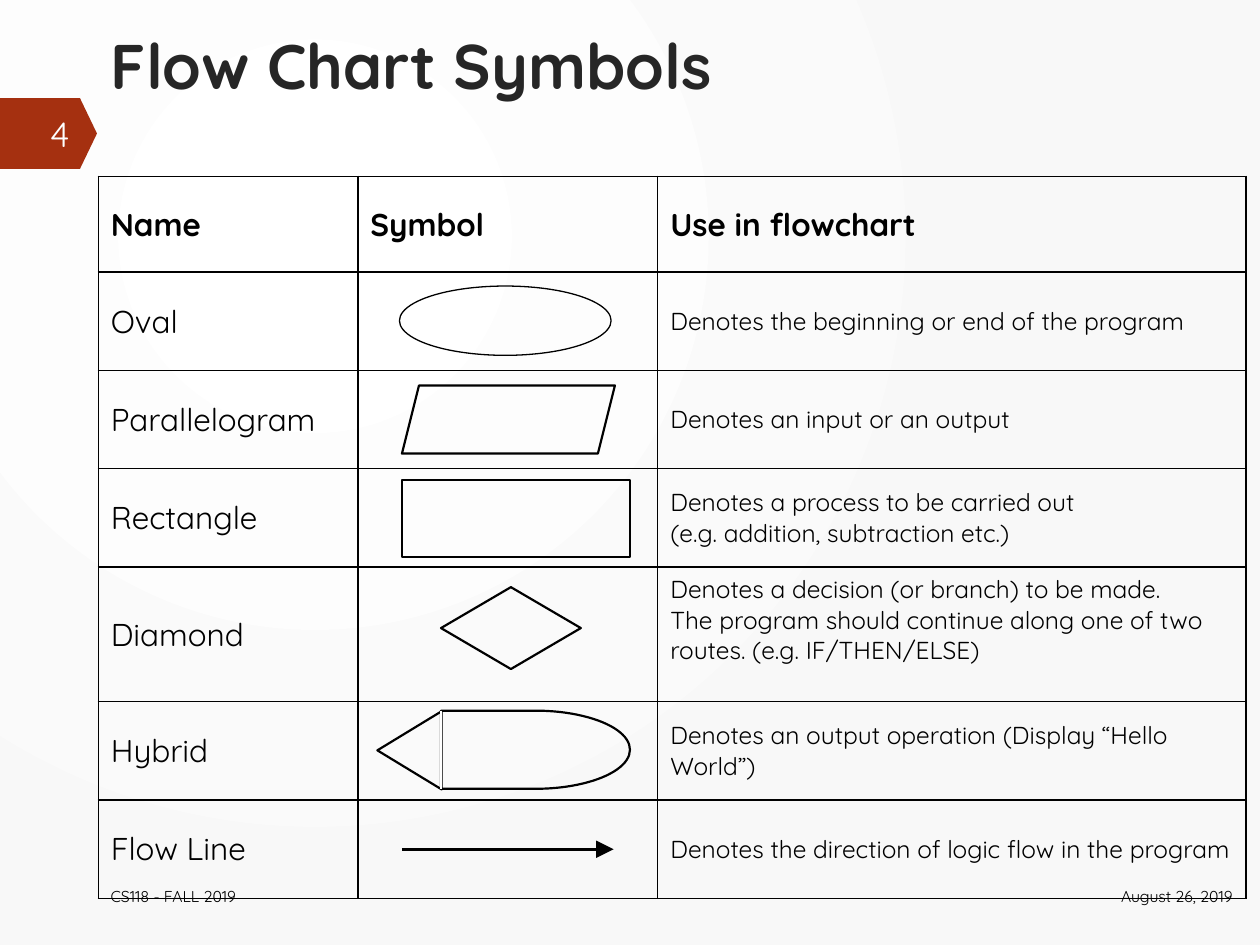
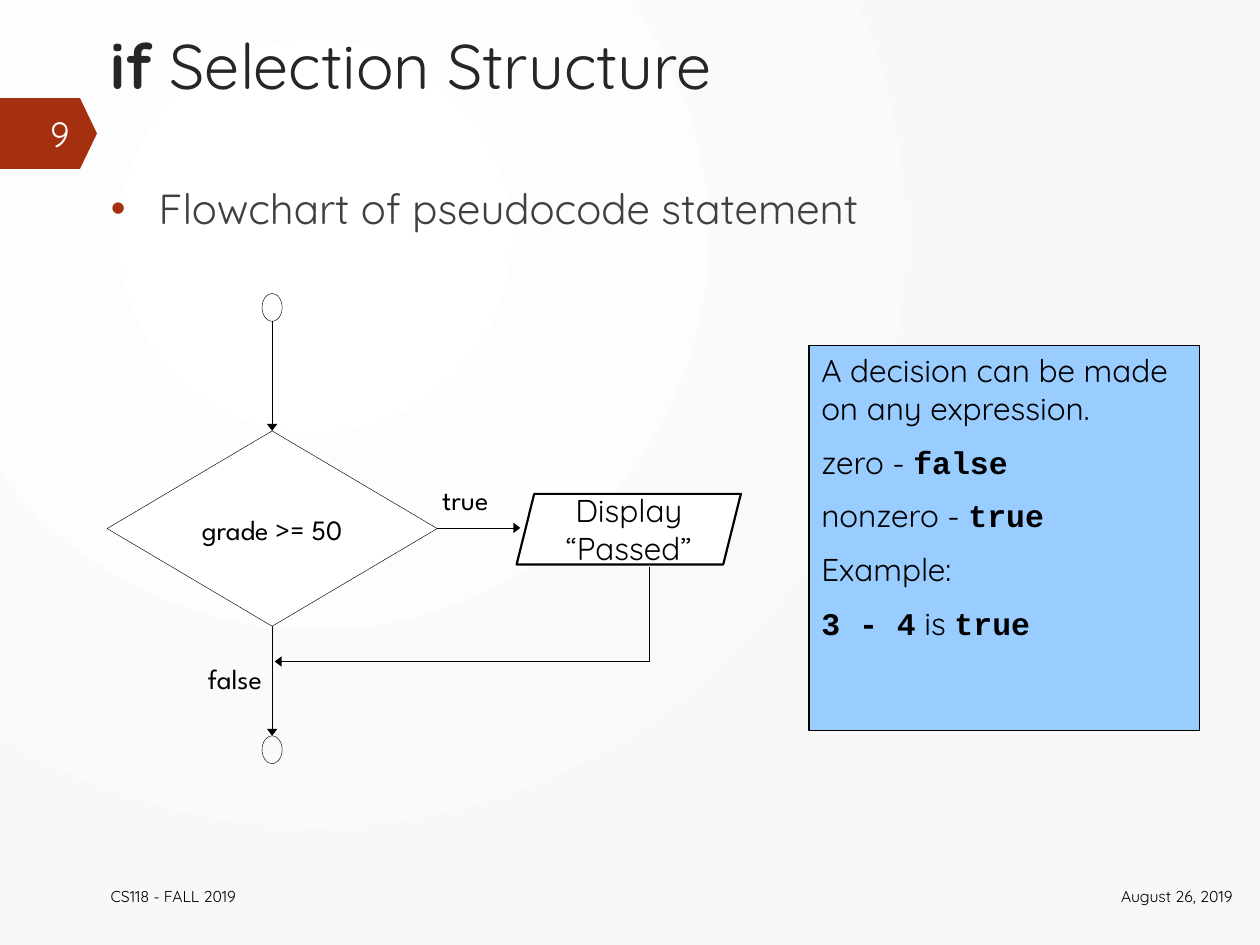
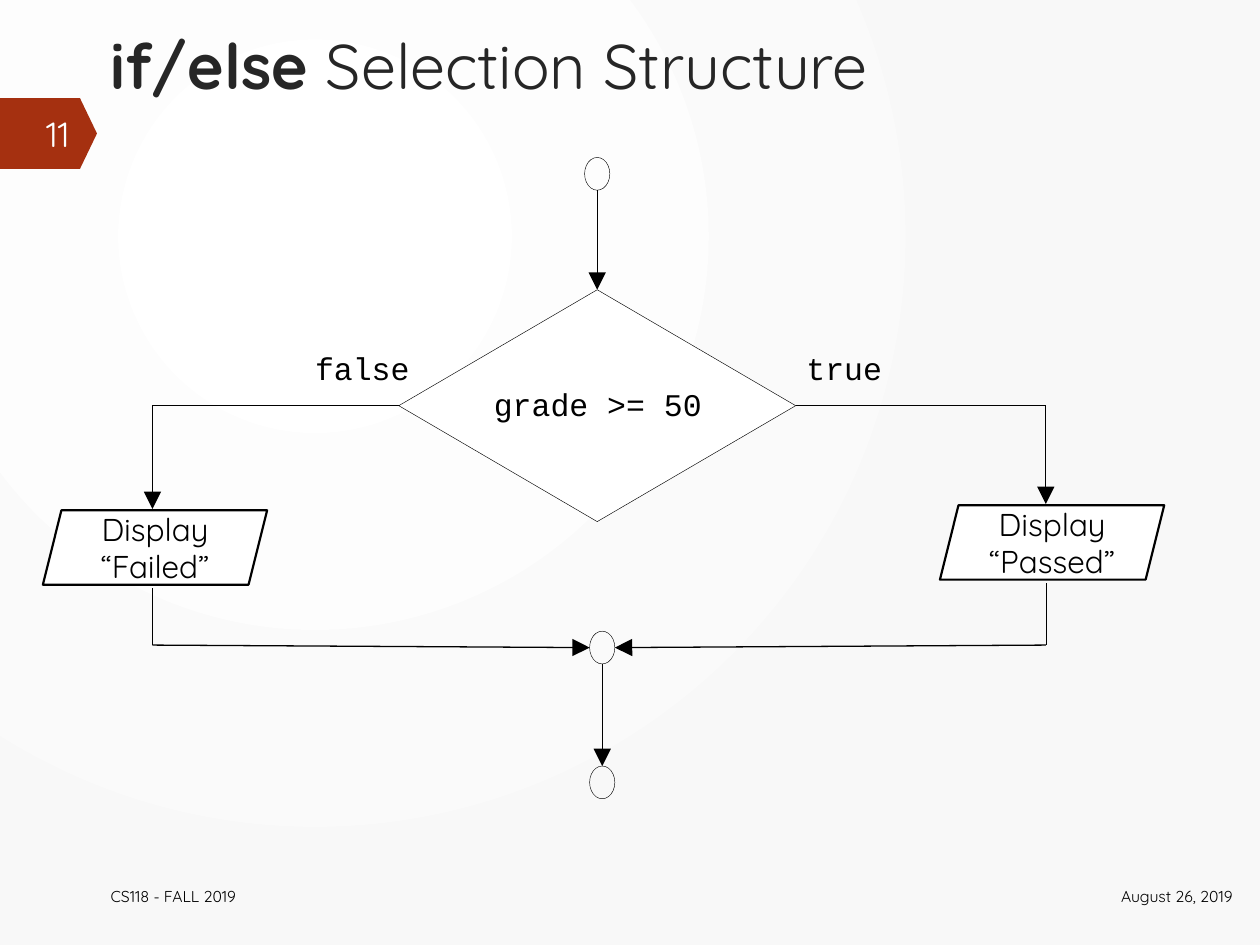
from dataclasses import dataclass
from typing import NamedTuple, Optional

from lxml import etree
from pptx import Presentation
from pptx.dml.color import RGBColor
from pptx.enum.shapes import MSO_CONNECTOR, MSO_SHAPE
from pptx.enum.text import MSO_ANCHOR, MSO_AUTO_SIZE, PP_ALIGN
from pptx.oxml.ns import qn
from pptx.util import Emu, Inches, Pt

LEFT, CENTER, RIGHT = PP_ALIGN.LEFT, PP_ALIGN.CENTER, PP_ALIGN.RIGHT
TOP, MIDDLE = MSO_ANCHOR.TOP, MSO_ANCHOR.MIDDLE
STRAIGHT = MSO_CONNECTOR.STRAIGHT
NO_AUTOFIT = MSO_AUTO_SIZE.NONE
OVAL, RECTANGLE, DIAMOND = MSO_SHAPE.OVAL, MSO_SHAPE.RECTANGLE, MSO_SHAPE.DIAMOND
PARALLELOGRAM = MSO_SHAPE.PARALLELOGRAM
DELAY, TRIANGLE = MSO_SHAPE.FLOWCHART_DELAY, MSO_SHAPE.ISOSCELES_TRIANGLE
PENTAGON = MSO_SHAPE.PENTAGON

# The slide is a grid of 100 columns by 75 rows; all lengths below are in cells.
SLIDE_WIDTH, SLIDE_HEIGHT = Inches(10), Inches(7.5)
COLUMNS, ROWS = 100, 75


@dataclass(frozen=True)
class Theme:
    ink: str = "000000"
    paper: str = "FFFFFF"
    paper_edge: str = "F8F8F8"
    title: str = "262626"
    body: str = "404040"
    accent: str = "A53010"
    number: str = "FEFFFF"
    callout: str = "99CCFF"
    font: str = "Quicksand"
    label_font: str = "League Spartan"
    code_font: str = "Courier New"
    title_size: float = 36
    body_size: float = 24
    number_size: float = 20
    text_size: float = 18
    label_size: float = 16
    detail_size: float = 14
    footer_size: float = 9
    hairline: float = 0.25
    thin: float = 0.75
    border: float = 1
    outline: float = 1.25
    thick: float = 1.5


THEME = Theme()


class Box(NamedTuple):
    left: float
    top: float
    width: float
    height: float


class Point(NamedTuple):
    x: float
    y: float


class Arrow(NamedTuple):
    width: str
    length: str


class Span(NamedTuple):
    text: str
    bold: bool = False
    font: str = THEME.font


class Symbol(NamedTuple):
    kind: int
    box: Box
    line_width: float = THEME.outline
    rotation: float = 0


class SymbolRow(NamedTuple):
    height: float
    name: str
    use: str
    bottom_margin: float = 0.5


class Line(NamedTuple):
    start: Point
    end: Point
    width: float = THEME.hairline
    arrow: Optional[Arrow] = None


LARGE_ARROW, SHORT_ARROW = Arrow("lg", "lg"), Arrow("med", "sm")

TITLE_BOX = Box(7.8, 1.6, 91, 8.9)
BODY_BOX = Box(7.8, 14, 91, 54.5)
BAND_BOX = Box(0, 7.8, 7.7, 5.6)
NUMBER_BOX = Box(0.1, 8.6, 6.4, 4)
FOOTER_BOX = Box(7.8, 69.1, 68.1, 4)
DATE_BOX = Box(84.1, 69.1, 14.7, 4)


# ---- Lengths, text and lines ----
def column(count: float) -> Emu:
    return Emu(round(SLIDE_WIDTH * count / COLUMNS))


def row(count: float) -> Emu:
    return Emu(round(SLIDE_HEIGHT * count / ROWS))


def place(box: Box) -> tuple:
    return column(box.left), row(box.top), column(box.width), row(box.height)


def rgb(color: str) -> RGBColor:
    return RGBColor.from_string(color)


def format_run(run, size: float, color: str, font: str, bold: bool = False) -> None:
    run.font.size, run.font.name, run.font.bold = Pt(size), font, bold
    run.font.color.rgb = rgb(color)


def write_spans(paragraph, spans: list, size: float, color: str = THEME.ink,
                align=LEFT) -> None:
    paragraph.alignment = align
    for span in spans:
        run = paragraph.add_run()
        run.text = span.text
        format_run(run, size, color, span.font, span.bold)


def write_text(text_frame, text: str, size: float, color: str = THEME.ink,
               font: str = THEME.font, bold: bool = False, align=LEFT) -> None:
    text_frame.text = text
    for paragraph in text_frame.paragraphs:
        paragraph.alignment = align
        for run in paragraph.runs:
            format_run(run, size, color, font, bold)


def add_text(slide, box: Box, text: str, size: float, color: str = THEME.ink,
             font: str = THEME.font, align=LEFT, anchor=MIDDLE):
    text_frame = slide.shapes.add_textbox(*place(box)).text_frame
    text_frame.word_wrap, text_frame.vertical_anchor = True, anchor
    write_text(text_frame, text, size, color, font, align=align)
    return text_frame


def add_label(slide, box: Box, text: str, size: float, font: str, align=LEFT) -> None:
    text_frame = add_text(slide, box, text, size, font=font, align=align, anchor=TOP)
    text_frame.margin_left = text_frame.margin_right = 0
    text_frame.margin_top = text_frame.margin_bottom = 0


def add_shape(slide, kind: int, box: Box, line_width: float = 0,
              fill: Optional[str] = None, rotation: float = 0):
    shape = slide.shapes.add_shape(kind, *place(box))
    shape.shadow.inherit = False
    shape.rotation = rotation
    if fill:
        shape.fill.solid()
        shape.fill.fore_color.rgb = rgb(fill)
    else:
        shape.fill.background()
    if line_width:
        shape.line.color.rgb = rgb(THEME.ink)
        shape.line.width = Pt(line_width)
    else:
        shape.line.fill.background()
    return shape


def add_line(slide, line: Line, color: str = THEME.ink) -> None:
    connector = slide.shapes.add_connector(
        STRAIGHT, column(line.start.x), row(line.start.y),
        column(line.end.x), row(line.end.y))
    connector.line.color.rgb = rgb(color)
    connector.line.width = Pt(line.width)
    properties = connector.element.spPr
    if line.arrow:
        etree.SubElement(properties.find(qn("a:ln")), qn("a:tailEnd"), type="triangle",
                         w=line.arrow.width, len=line.arrow.length)
    etree.SubElement(properties, qn("a:effectLst"))


# ---- What every slide shares ----
def set_background(master) -> None:
    fill = master.background.fill
    fill.gradient()
    for stop, color in zip(fill.gradient_stops, (THEME.paper, THEME.paper_edge)):
        stop.color.rgb = rgb(color)
    gradient = master.element.find(".//" + qn("a:gradFill"))
    gradient.remove(gradient.find(qn("a:lin")))
    circle = etree.SubElement(gradient, qn("a:path"), path="circle")
    etree.SubElement(circle, qn("a:fillToRect"), l="50000", t="50000",
                     r="100000", b="100000")


def fit_placeholder(placeholder, box: Box):
    placeholder.left, placeholder.top, placeholder.width, placeholder.height = place(box)
    text_frame = placeholder.text_frame
    text_frame.auto_size, text_frame.vertical_anchor = NO_AUTOFIT, TOP
    return text_frame


def start_slide(presentation, layout_name: str, number: int, title: list):
    layout = presentation.slide_layouts.get_by_name(layout_name)
    slide = presentation.slides.add_slide(layout)
    title_frame = fit_placeholder(slide.shapes.title, TITLE_BOX)
    write_spans(title_frame.paragraphs[0], title, THEME.title_size, THEME.title)
    band = add_shape(slide, PENTAGON, BAND_BOX, fill=THEME.accent)
    band.adjustments[0] = 0.24
    add_text(slide, NUMBER_BOX, str(number), THEME.number_size, THEME.number, align=RIGHT)
    return slide


def add_footer(slide) -> None:
    add_text(slide, DATE_BOX, "August 26, 2019", THEME.footer_size, align=RIGHT)
    add_text(slide, FOOTER_BOX, "CS118 - FALL 2019", THEME.footer_size)


# ---- Flow chart parts ----
def add_terminal(slide, center: Point, width: float, height: float) -> None:
    box = Box(center.x - width / 2, center.y - height / 2, width, height)
    add_shape(slide, OVAL, box, THEME.hairline)


def add_output(slide, box: Box, text: str) -> None:
    shape = add_shape(slide, PARALLELOGRAM, box, THEME.outline, THEME.paper)
    shape.text_frame.vertical_anchor = MIDDLE
    write_text(shape.text_frame, text, THEME.text_size, align=CENTER)


def add_decision(slide, box: Box, label_box: Box, size: float, font: str) -> None:
    add_shape(slide, DIAMOND, box, THEME.hairline, THEME.paper)
    add_label(slide, label_box, "grade >= 50", size, font, CENTER)


# ---- Symbol table ----
def format_cell(cell, text: str, size: float, bold: bool) -> None:
    cell.vertical_anchor = MIDDLE
    if text:
        write_text(cell.text_frame, text, size, bold=bold)
    properties = cell._tc.get_or_add_tcPr()
    for side in ("lnL", "lnR", "lnT", "lnB"):
        border = etree.SubElement(properties, qn("a:" + side), w=str(Pt(THEME.border)))
        paint = etree.SubElement(border, qn("a:solidFill"))
        etree.SubElement(paint, qn("a:srgbClr"), val=THEME.ink)
    cell.fill.background()


def add_symbol_table(slide, left: float, top: float, widths: tuple, rows: list) -> None:
    box = Box(left, top, sum(widths), sum(item.height for item in rows))
    table = slide.shapes.add_table(len(rows), len(widths), *place(box)).table
    table.first_row = table.horz_banding = False
    for table_column, width in zip(table.columns, widths):
        table_column.width = column(width)
    for index, item in enumerate(rows):
        header = index == 0
        table.rows[index].height = row(item.height)
        use_size = THEME.text_size if header else THEME.detail_size
        name, symbol, use = table.rows[index].cells
        format_cell(name, item.name, THEME.text_size, header)
        format_cell(symbol, "Symbol" if header else "", THEME.text_size, header)
        format_cell(use, item.use, use_size, header)
        use.margin_bottom = row(item.bottom_margin)


def build_symbols_slide(presentation) -> None:
    slide = start_slide(presentation, "Title Only", 4, [Span("Flow Chart Symbols", True)])
    add_symbol_table(slide, 7.8, 14, (20.6, 23.8, 46.7), [
        SymbolRow(7.6, "Name", "Use in flowchart"),
        SymbolRow(7.8, "Oval", "Denotes the beginning or end of the program"),
        SymbolRow(7.8, "Parallelogram", "Denotes an input or an output"),
        SymbolRow(7.8, "Rectangle", "Denotes a process to be carried out\n"
                  "(e.g. addition, subtraction etc.)"),
        # The deeper bottom margin lifts the text of this row.
        SymbolRow(10.7, "Diamond", "Denotes a decision (or branch) to be made.\n"
                  "The program should continue along one of two routes. "
                  "(e.g. IF/THEN/ELSE)", 2.8),
        SymbolRow(7.8, "Hybrid", "Denotes an output operation "
                  "(Display “Hello World”)"),
        SymbolRow(7.8, "Flow Line", "Denotes the direction of logic flow in the program"),
    ])
    add_footer(slide)
    for symbol in (
        Symbol(OVAL, Box(31.7, 22.7, 16.8, 5.5), THEME.thin),
        Symbol(PARALLELOGRAM, Box(31.9, 30.6, 16.9, 5.4)),
        Symbol(RECTANGLE, Box(31.9, 38.1, 18.1, 6.1)),
        Symbol(DIAMOND, Box(35, 46.6, 11.1, 6.5)),
        Symbol(DELAY, Box(35, 56.4, 15, 6.2)),
        Symbol(TRIANGLE, Box(29.4, 57, 6.2, 5.1), rotation=270),
    ):
        add_shape(slide, symbol.kind, symbol.box, symbol.line_width,
                  rotation=symbol.rotation)
    # A white line hides the seam of the hybrid symbol.
    add_line(slide, Line(Point(35, 56.4), Point(35, 62.6), THEME.thick), THEME.paper)
    add_line(slide, Line(Point(31.9, 67.4), Point(48.7, 67.4), THEME.thick, LARGE_ARROW))


# ---- if ----
def add_bullet(slide, text: str) -> None:
    text_frame = fit_placeholder(slide.placeholders[1], BODY_BOX)
    write_text(text_frame, text, THEME.body_size, THEME.body)
    paragraph = text_frame.paragraphs[0]
    paragraph.space_before = Pt(6)
    properties = paragraph._p.get_or_add_pPr()
    properties.set("marL", str(column(3.8)))
    properties.set("indent", str(-column(3.8)))
    bullet_color = etree.SubElement(properties, qn("a:buClr"))
    etree.SubElement(bullet_color, qn("a:srgbClr"), val=THEME.accent)
    etree.SubElement(properties, qn("a:buChar"), char="•")


def add_callout(slide, box: Box, lines: list) -> None:
    shape = add_shape(slide, RECTANGLE, box, THEME.thin, THEME.callout)
    text_frame = shape.text_frame
    text_frame.word_wrap, text_frame.vertical_anchor = True, TOP
    for index, spans in enumerate(lines):
        paragraph = text_frame.add_paragraph() if index else text_frame.paragraphs[0]
        paragraph.space_before = Pt(THEME.text_size / 2 if index else 0)
        write_spans(paragraph, spans, THEME.text_size)


def build_if_slide(presentation) -> None:
    slide = start_slide(presentation, "Title and Content", 9,
                        [Span("if ", True), Span("Selection Structure")])
    add_bullet(slide, "Flowchart of pseudocode statement")
    add_footer(slide)

    axis, middle, join = 21.6, 41.9, 52.5
    decision = Box(axis - 13.1, 34.2, 26.2, 15.5)
    output = Box(41, 39.2, 17.8, 5.6)
    start, end = Point(axis, 24.4), Point(axis, 59.5)
    decision_bottom = decision.top + decision.height
    decision_right = decision.left + decision.width
    return_x = 51.5
    for line in (
        Line(Point(axis, start.y + 1.1), Point(axis, decision.top), arrow=SHORT_ARROW),
        Line(Point(axis, decision_bottom), Point(axis, end.y - 1.1), arrow=SHORT_ARROW),
        Line(Point(decision_right, middle), Point(41.3, middle), arrow=SHORT_ARROW),
        Line(Point(return_x, 45), Point(return_x, join)),
        Line(Point(return_x, join), Point(axis + 0.2, join), arrow=SHORT_ARROW),
    ):
        add_line(slide, line)
    for center in (start, end):
        add_terminal(slide, center, 1.6, 2.2)
    add_label(slide, Box(35.1, 38.3, 5.8, 4.3), "true", THEME.label_size, THEME.label_font)
    add_label(slide, Box(16.5, 52.5, 7.1, 4.3), "false", THEME.label_size,
              THEME.label_font)
    add_decision(slide, decision, Box(14.2, 40.7, 14.8, 3.3), THEME.label_size,
                 THEME.label_font)
    add_output(slide, output, "Display “Passed”")

    code = THEME.code_font
    add_callout(slide, Box(64.2, 27.4, 31, 30.6), [
        [Span("A decision can be made on any expression.")],
        [Span("zero - "), Span("false", True, code)],
        [Span("nonzero - "), Span("true", True, code)],
        [Span("Example:")],
        [Span("3 - 4", True, code), Span(" is "), Span("true", True, code)],
    ])


# ---- if/else ----
def build_if_else_slide(presentation) -> None:
    slide = start_slide(presentation, "Title Only", 11,
                        [Span("if/else ", True), Span("Selection Structure")])
    add_footer(slide)

    axis, join_axis, middle, corner = 47.4, 47.8, 32.2, 51.2
    false_x, true_x = 12.1, 83
    decision = Box(axis - 15.75, 23, 31.5, 18.4)
    false_output, true_output = Box(3.4, 40.5, 17.8, 5.9), Box(74.6, 40.1, 17.8, 5.9)
    start, join, end = Point(axis, 13.8), Point(join_axis, 51.4), Point(join_axis, 62.1)
    radius_x, radius_y = 1, 1.3

    # Both branches mirror each other around the decision.
    for x, decision_x, output, join_x in (
        (false_x, decision.left, false_output, join.x - radius_x),
        (true_x, decision.left + decision.width, true_output, join.x + radius_x),
    ):
        bottom = output.top + output.height + 0.3
        add_line(slide, Line(Point(decision_x, middle), Point(x, middle)))
        add_line(slide, Line(Point(x, middle), Point(x, output.top - 0.1),
                             THEME.thin, LARGE_ARROW))
        add_line(slide, Line(Point(x, bottom), Point(x, corner)))
        add_line(slide, Line(Point(x, corner), Point(join_x, join.y),
                             THEME.thin, LARGE_ARROW))
    for upper, lower in ((Point(axis, start.y + radius_y), Point(axis, decision.top)),
                         (Point(join_axis, join.y + radius_y),
                          Point(join_axis, end.y - radius_y))):
        add_line(slide, Line(upper, lower, THEME.thin, LARGE_ARROW))
    for center in (start, join, end):
        add_terminal(slide, center, 2 * radius_x, 2 * radius_y)
    add_decision(slide, decision, Box(38.6, 30.6, 17.7, 4), THEME.text_size,
                 THEME.code_font)
    add_label(slide, Box(64, 27.7, 7, 5.1), "true", THEME.text_size, THEME.code_font)
    add_label(slide, Box(25, 27.7, 8.5, 5.1), "false", THEME.text_size, THEME.code_font)
    add_output(slide, false_output, "Display “Failed”")
    add_output(slide, true_output, "Display “Passed”")


def main() -> None:
    presentation = Presentation()
    presentation.slide_width, presentation.slide_height = SLIDE_WIDTH, SLIDE_HEIGHT
    set_background(presentation.slide_master)
    build_symbols_slide(presentation)
    build_if_slide(presentation)
    build_if_else_slide(presentation)
    presentation.save("out.pptx")


main()
